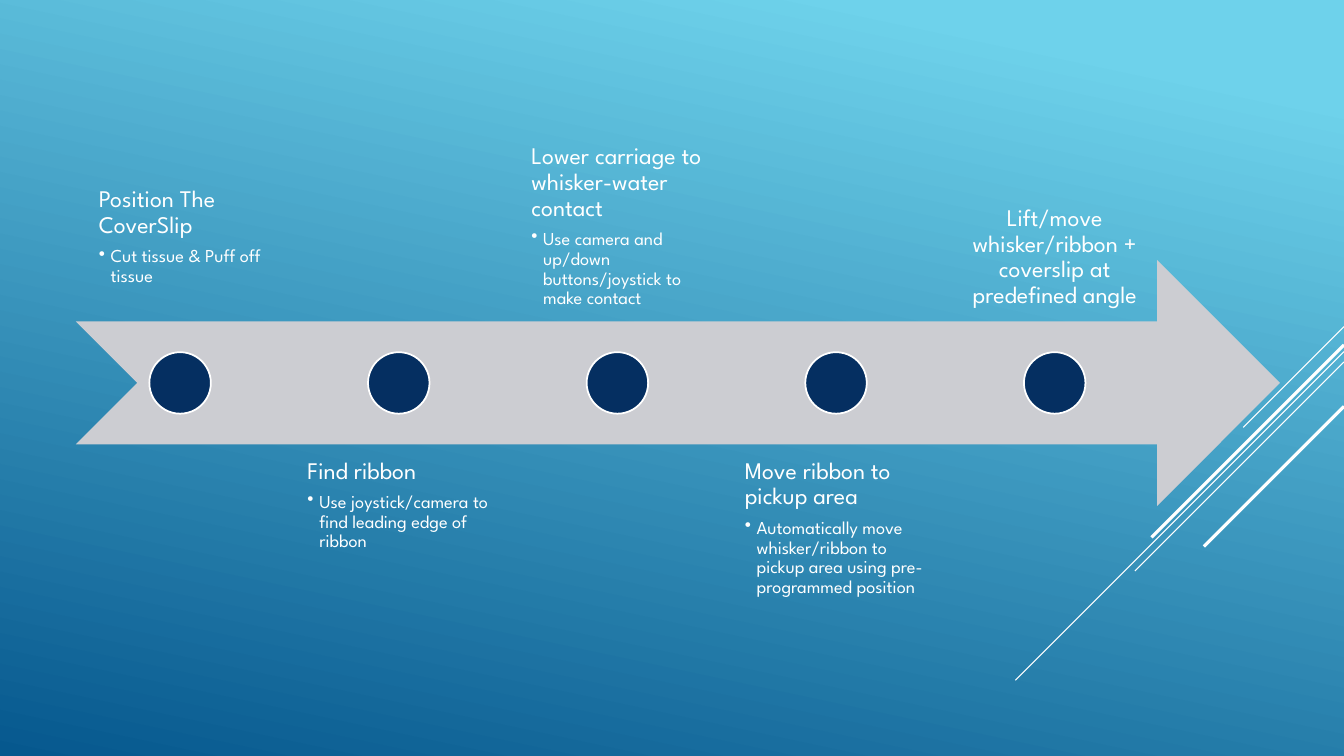
from dataclasses import dataclass

from lxml import etree
from pptx import Presentation
from pptx import util as u
from pptx.dml.color import RGBColor
from pptx.enum import shapes, text
from pptx.oxml import ns

# Content: heading, detail, extra left inset and lift of the text (cm)
STEPS = [
    ("Position The CoverSlip", "Cut tissue & Puff off tissue", 0.25, 0.56),
    ("Find ribbon", "Use joystick/camera to find leading edge of ribbon", 0, 0),
    ("Lower carriage to whisker-water contact",
     "Use camera and up/down buttons/joystick to make contact", 0.13, 0),
    ("Move ribbon to pickup area",
     "Automatically move whisker/ribbon to pickup area using pre-programmed position", 0, 0),
    ("Lift/move whisker/ribbon + coverslip at predefined angle", None, 0, 0),
]
# Diagonal accents from the right edge: top, run (cm), weight (pt)
ACCENTS = [(8.23, 2.54, 0.75), (8.86, 8.28, 0.75), (9.12, 5.27, 0.75),
           (8.69, 4.85, 2.25), (10.24, 3.53, 2.25)]


@dataclass(frozen=True)
class Theme:
    font: str = "League Spartan"
    heading: float = 17
    detail: float = 13
    white: RGBColor = RGBColor(0xFF, 0xFF, 0xFF)
    navy: RGBColor = RGBColor(0x05, 0x2F, 0x61)
    arrow: RGBColor = RGBColor(0xCC, 0xCD, 0xD2)
    sky: RGBColor = RGBColor(0x6E, 0xD2, 0xEB)
    deep: RGBColor = RGBColor(0x06, 0x58, 0x8E)


THEME = Theme()

# Layout in cm
SLIDE_WIDTH, SLIDE_HEIGHT = 33.87, 19.05
LEFT, ARROW_TOP, ARROW_WIDTH, BAND = 1.91, 6.55, 30.35, 6.2
STEP_WIDTH, STEP_PITCH = 5.26, 5.51
UPPER_TOP, LOWER_TOP = 1.91, 11.23
DOT = BAND / 4
INSET, BULLET_INDENT = 0.33, 0.3


def paint_background(slide):
    fill = slide.background.fill
    fill.gradient()
    fill.gradient_angle = 360 - 102
    for stop, color, position in zip(fill.gradient_stops, (THEME.sky, THEME.deep), (0.1, 1)):
        stop.color.rgb = color
        stop.position = position


def add_accent(slide, top, run, weight):
    line = slide.shapes.add_connector(
        shapes.MSO_CONNECTOR.STRAIGHT, u.Cm(SLIDE_WIDTH), u.Cm(top),
        u.Cm(SLIDE_WIDTH - run), u.Cm(top + run))
    line.line.color.rgb = THEME.white
    line.line.width = u.Pt(weight)
    etree.SubElement(line._element.spPr, ns.qn("a:effectLst"))


def add_figure(slide, kind, left, top, width, height, color):
    shape = slide.shapes.add_shape(kind, u.Cm(left), u.Cm(top), u.Cm(width), u.Cm(height))
    shape.shadow.inherit = False
    shape.fill.solid()
    shape.fill.fore_color.rgb = color
    shape.line.fill.background()
    return shape


def write_paragraph(paragraph, words, size, gap, alignment):
    paragraph.alignment = alignment
    paragraph.line_spacing = 0.9
    paragraph.space_after = u.Pt(gap)
    run = paragraph.add_run()
    run.text = words
    run.font.name = THEME.font
    run.font.size = u.Pt(size)
    run.font.color.rgb = THEME.white


def add_bullet(paragraph):
    properties = paragraph._p.get_or_add_pPr()
    properties.set("marL", str(u.Cm(BULLET_INDENT)))
    properties.set("indent", str(-u.Cm(BULLET_INDENT)))
    etree.SubElement(properties, ns.qn("a:buChar")).set("char", "•")


def add_step_text(slide, left, above, heading, detail, extra, lift):
    box = slide.shapes.add_textbox(u.Cm(left), u.Cm(UPPER_TOP if above else LOWER_TOP),
                                   u.Cm(STEP_WIDTH), u.Cm(BAND))
    frame = box.text_frame
    frame.word_wrap = True
    frame.vertical_anchor = text.MSO_ANCHOR.BOTTOM if above else text.MSO_ANCHOR.TOP
    frame.margin_left = u.Cm(INSET + extra)
    frame.margin_right = frame.margin_top = u.Cm(INSET)
    frame.margin_bottom = u.Cm(INSET + lift)
    alignment = text.PP_ALIGN.LEFT if detail else text.PP_ALIGN.CENTER
    write_paragraph(frame.paragraphs[0], heading, THEME.heading, 6, alignment)
    if detail:
        paragraph = frame.add_paragraph()
        write_paragraph(paragraph, detail, THEME.detail, 2, alignment)
        add_bullet(paragraph)


def main():
    presentation = Presentation()
    presentation.slide_width = u.Cm(SLIDE_WIDTH)
    presentation.slide_height = u.Cm(SLIDE_HEIGHT)
    slide = presentation.slides.add_slide(presentation.slide_layouts[6])

    # Backdrop
    paint_background(slide)
    for accent in ACCENTS:
        add_accent(slide, *accent)

    # Timeline arrow
    add_figure(slide, shapes.MSO_SHAPE.NOTCHED_RIGHT_ARROW, LEFT, ARROW_TOP,
               ARROW_WIDTH, BAND, THEME.arrow)

    # Steps, alternating above and below the arrow
    for index, step in enumerate(STEPS):
        left = LEFT + index * STEP_PITCH
        add_step_text(slide, left, index % 2 == 0, *step)
        dot = add_figure(slide, shapes.MSO_SHAPE.OVAL, left + (STEP_WIDTH - DOT) / 2,
                         ARROW_TOP + (BAND - DOT) / 2, DOT, DOT, THEME.navy)
        dot.line.color.rgb = THEME.white
        dot.line.width = u.Pt(1.25)

    presentation.save("out.pptx")


if __name__ == "__main__":
    main()
